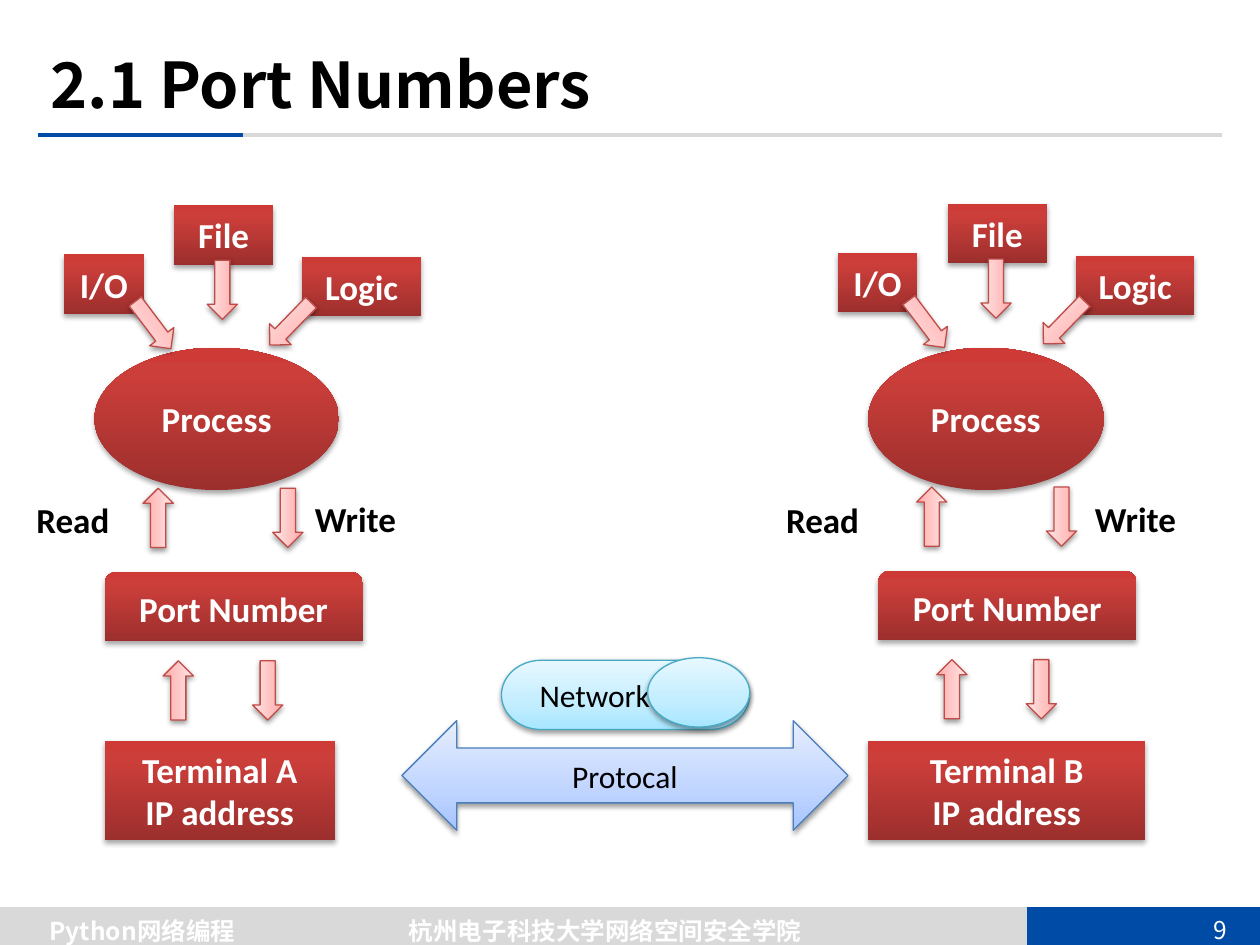
from pptx import Presentation
from pptx.dml.color import RGBColor
from pptx.enum.shapes import MSO_CONNECTOR, MSO_SHAPE
from pptx.enum.text import MSO_ANCHOR, MSO_AUTO_SIZE, PP_ALIGN
from pptx.oxml import parse_xml
from pptx.oxml.ns import nsdecls, qn
from pptx.util import Inches, Pt
from lxml import etree

LINE = MSO_CONNECTOR.STRAIGHT
BOX = MSO_SHAPE.FLOWCHART_PROCESS
OVAL = MSO_SHAPE.FLOWCHART_CONNECTOR
RECT = MSO_SHAPE.RECTANGLE
ROUND = MSO_SHAPE.ROUND_2_SAME_RECTANGLE
PILL = MSO_SHAPE.FLOWCHART_TERMINATOR
DISC = MSO_SHAPE.OVAL
ARROW = MSO_SHAPE.LEFT_ARROW
DOUBLE = MSO_SHAPE.LEFT_RIGHT_ARROW
MID, TOP = MSO_ANCHOR.MIDDLE, MSO_ANCHOR.TOP
LEFT, CENTER = PP_ALIGN.LEFT, PP_ALIGN.CENTER
NO_FIT = MSO_AUTO_SIZE.NONE

BLACK = RGBColor(0x00, 0x00, 0x00)
WHITE = RGBColor(0xFF, 0xFF, 0xFF)
GRAY = RGBColor(0xD9, 0xD9, 0xD9)
NAVY = RGBColor(0x00, 0x4B, 0xA6)


def ramp(*stops):
    return [(spot, RGBColor.from_string(tone)) for spot, tone in stops]


RED = (ramp((0, "9C2F2D"), (80, "CB3E3A"), (100, "CE3B37")), None)
PINK = (ramp((0, "FFA6A5"), (35, "FFC0BF"), (100, "FFE7E7")),
        RGBColor(0xBF, 0x4C, 0x48))
BLUE = (ramp((0, "A4C4FF"), (35, "BFD4FF"), (100, "E6EEFF")),
        RGBColor(0x4B, 0x7E, 0xBC))
CYAN = (ramp((0, "A7E6FF"), (35, "C1EDFF"), (100, "E7F8FF")),
        RGBColor(0x46, 0xAA, 0xC5))


class Deck:
    body = "Calibri"
    head = "Noto Sans CJK SC"

    def __init__(self):
        self.file = Presentation()
        self.file.slide_width = Inches(10)
        self.file.slide_height = Inches(7.5)
        self.slide = self.file.slides.add_slide(self.file.slide_layouts[5])
        self.shapes = self.slide.shapes

    def place(self, x, y, w, h):
        return Inches(x), Inches(y), Inches(w), Inches(h)

    def words(self, shape, lines, size, color, bold, font, align=CENTER, anchor=MID):
        frame = shape.text_frame
        frame.word_wrap = True
        frame.vertical_anchor = anchor
        for i, line in enumerate(lines):
            para = frame.add_paragraph() if i else frame.paragraphs[0]
            para.alignment = align
            run = para.add_run()
            run.text = line
            run.font.size = Pt(size)
            run.font.bold = bold
            run.font.color.rgb = color
            run.font.name = font
            east = etree.SubElement(run._r.get_or_add_rPr(), qn("a:ea"))
            east.set("typeface", font)

    def title(self, text, *spot):
        shape = self.shapes.title
        shape.left, shape.top, shape.width, shape.height = self.place(*spot)
        shape.text_frame.auto_size = NO_FIT
        self.words(shape, [text], 36, BLACK, True, self.head, LEFT)

    def rule(self, start, end, y, color, width):
        line = self.shapes.add_connector(
            LINE, Inches(start), Inches(y), Inches(end), Inches(y))
        line.line.color.rgb = color
        line.line.width = Pt(width)
        etree.SubElement(line._element.spPr, qn("a:effectLst"))

    def foot(self, text, *spot, bold=True):
        box = self.shapes.add_textbox(*self.place(*spot))
        self.words(box, [text], 14, WHITE, bold, self.head)

    def label(self, text, *spot):
        box = self.shapes.add_textbox(*self.place(*spot))
        self.words(box, [text], 20, BLACK, True, self.body, LEFT, TOP)

    def block(self, kind, look, *spot, turn=0):
        stops, edge = look
        shape = self.shapes.add_shape(kind, *self.place(*spot))
        shape.rotation = turn
        if edge is None:
            shape.line.fill.background()
        else:
            shape.line.color.rgb = edge
            shape.line.width = Pt(0.75)
        marks = "".join(
            f'<a:gs pos="{at * 1000}"><a:srgbClr val="{tone}"/></a:gs>'
            for at, tone in stops)
        props = shape._element.spPr
        props.find(qn("a:prstGeom")).addnext(parse_xml(
            f'<a:gradFill {nsdecls("a")} rotWithShape="1"><a:gsLst>{marks}</a:gsLst>'
            '<a:lin ang="16200000" scaled="0"/></a:gradFill>'))
        drop, alpha = (1.8, 35) if edge is None else (1.6, 38)
        props.append(parse_xml(
            f'<a:effectLst {nsdecls("a")}><a:outerShdw blurRad="{Pt(3.1)}" '
            f'dist="{Pt(drop)}" dir="5400000" rotWithShape="0">'
            f'<a:srgbClr val="000000"><a:alpha val="{alpha * 1000}"/></a:srgbClr>'
            '</a:outerShdw></a:effectLst>'))
        return shape

    def card(self, kind, lines, *spot):
        shape = self.block(kind, RED, *spot)
        self.words(shape, lines, 20, WHITE, True, self.body)

    def arrow(self, x, y, turn):
        self.block(ARROW, PINK, x, y, 0.47, 0.24, turn=turn)

    def host(self, dx, dy, oval, base, name, read, note):
        self.card(BOX, ["File"], 1.38 + dx, 1.63 + dy, 0.79, 0.47)
        self.card(OVAL, ["Process"], oval[0], 2.76, oval[1], 1.13)
        self.card(BOX, ["Logic"], 2.4 + dx, 2.04 + dy, 0.94, 0.47)
        self.card(BOX, ["I/O"], 0.51 + dx, 2.02 + dy, 0.63, 0.47)
        self.card(ROUND, ["Port Number"], 0.83 + dx, 4.54 + dy, 2.05, 0.55)
        self.card(RECT, [name, "IP address"], base[0], 5.88, base[1], 0.79)
        for x, y, turn in [(2.07, 2.45, 314.1), (0.98, 2.46, 233), (1.53, 2.18, 270),
                           (2.05, 3.99, 270), (1.89, 5.36, 270),
                           (1.02, 3.99, 90), (1.18, 5.36, 90)]:
            self.arrow(x + dx, y + dy, turn)
        self.label("Read", read, 3.91, 0.95, 0.44)
        self.label("Write", note, 3.9, 0.91, 0.44)

    def link(self):
        shape = self.block(DOUBLE, BLUE, 3.19, 5.72, 3.54, 0.87)
        self.words(shape, ["Protocal"], 18, BLACK, False, self.body)
        pill = self.block(PILL, CYAN, 3.98, 5.24, 1.97, 0.55)
        self.words(pill, ["Network"], 18, BLACK, False, self.body, LEFT)
        pill.text_frame.margin_left = Inches(0.21)
        self.block(DISC, CYAN, 5.14, 5.22, 0.81, 0.55)


def main():
    deck = Deck()
    deck.rule(0, 9.96, 7.37, GRAY, 25)
    deck.rule(8.15, 10, 7.37, NAVY, 25)
    deck.rule(0.3, 9.7, 1.07, GRAY, 2.25)
    deck.rule(0.3, 1.93, 1.07, NAVY, 2.25)
    deck.foot("Python网络编程", -0.04, 7.22, 2.34, 0.34)
    deck.foot("9", 9.41, 7.21, 0.55, 0.34, bold=False)
    deck.foot("杭州电子科技大学网络空间安全学院", 2.56, 7.22, 4.49, 0.34)
    deck.title("2.1 Port Numbers", 0.3, 0.28, 9.2, 0.77)
    deck.link()
    deck.host(0, 0, (0.75, 1.94), (0.83, 1.83), "Terminal A", 0.19, 2.4)
    deck.host(6.14, -0.01, (6.89, 1.87), (6.89, 2.2), "Terminal B", 6.14, 8.59)
    deck.file.save("out.pptx")


if __name__ == "__main__":
    main()
